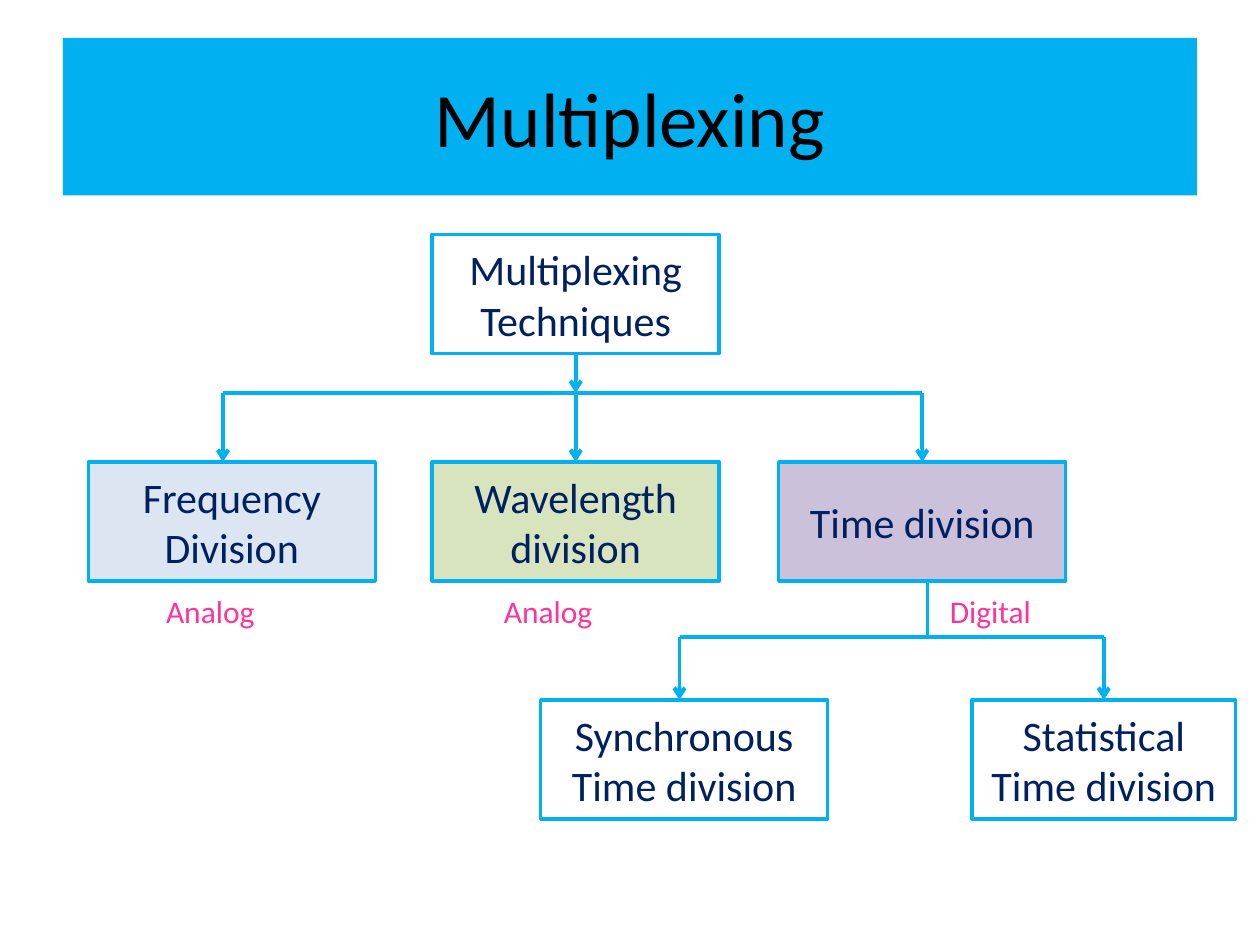
from dataclasses import dataclass
from typing import Optional

import pptx
import pptx.dml.color
import pptx.enum.shapes
import pptx.enum.text
import pptx.oxml.ns
import pptx.oxml.xmlchemy
import pptx.util
from lxml import etree

Pt = pptx.util.Pt
TOP, BOTTOM = 0, 2


@dataclass(frozen=True)
class Theme:
    font: str = "Calibri"
    accent: str = "00B0F0"
    title_text: str = "000000"
    box_text: str = "002060"
    signal_text: str = "FF3399"
    frequency: str = "DCE6F2"
    wavelength: str = "D7E4BD"
    time: str = "CCC1DA"
    title_size: float = 44
    box_size: float = 24
    signal_size: float = 18
    border: float = 2
    link: float = 2.25


THEME = Theme()


@dataclass(frozen=True)
class Box:
    text: str
    left: float
    top: float
    fill: Optional[str] = None
    width: float = 164
    height: float = 68
    border: Optional[str] = THEME.accent
    size: float = THEME.box_size
    color: str = THEME.box_text

    @property
    def center(self) -> float:
        return self.left + self.width / 2

    @property
    def bottom(self) -> float:
        return self.top + self.height


@dataclass(frozen=True)
class Signal:
    text: str
    left: float
    top: float = 334.8
    width: float = 73.5
    height: float = 29


@dataclass(frozen=True)
class Link:
    """A straight line; source and target name the boxes it is joined to."""
    x1: float
    y1: float
    x2: float
    y2: float
    arrow: bool = False
    source: Optional[Box] = None
    target: Optional[Box] = None


def rgb(value: str) -> pptx.dml.color.RGBColor:
    return pptx.dml.color.RGBColor.from_string(value)


def write(frame, text: str, size: float, color: str) -> None:
    frame.word_wrap = True
    frame.text = text
    font = frame.paragraphs[0].runs[0].font
    font.name, font.size = THEME.font, Pt(size)
    font.color.rgb = rgb(color)


def draw_box(slide, box: Box):
    shape = slide.shapes.add_shape(
        pptx.enum.shapes.MSO_SHAPE.RECTANGLE,
        Pt(box.left), Pt(box.top), Pt(box.width), Pt(box.height))
    shape.shadow.inherit = False
    if box.fill:
        shape.fill.solid()
        shape.fill.fore_color.rgb = rgb(box.fill)
    else:
        shape.fill.background()
    if box.border:
        shape.line.color.rgb = rgb(box.border)
        shape.line.width = Pt(THEME.border)
    else:
        shape.line.fill.background()
    write(shape.text_frame, box.text, box.size, box.color)
    shape.text_frame.vertical_anchor = pptx.enum.text.MSO_ANCHOR.MIDDLE
    shape.text_frame.paragraphs[0].alignment = pptx.enum.text.PP_ALIGN.CENTER
    return shape


def draw_signal(slide, signal: Signal) -> None:
    label = slide.shapes.add_textbox(
        Pt(signal.left), Pt(signal.top), Pt(signal.width), Pt(signal.height))
    write(label.text_frame, signal.text, THEME.signal_size, THEME.signal_text)
    label.text_frame.auto_size = pptx.enum.text.MSO_AUTO_SIZE.SHAPE_TO_FIT_TEXT


def draw_link(slide, link: Link, shapes: dict) -> None:
    line = slide.shapes.add_connector(
        pptx.enum.shapes.MSO_CONNECTOR.STRAIGHT,
        Pt(link.x1), Pt(link.y1), Pt(link.x2), Pt(link.y2))
    line.line.color.rgb = rgb(THEME.accent)
    line.line.width = Pt(THEME.link)
    qn = pptx.oxml.ns.qn
    properties = line._element.spPr
    if link.arrow:
        etree.SubElement(properties.find(qn("a:ln")), qn("a:tailEnd"), type="arrow")
    etree.SubElement(properties, qn("a:effectLst"))
    if link.source:
        line.begin_connect(shapes[link.source], BOTTOM)
    if link.target:
        line.end_connect(shapes[link.target], TOP)


def main() -> None:
    deck = pptx.Presentation()
    deck.slide_width, deck.slide_height = Pt(720), Pt(540)
    slide = deck.slides.add_slide(deck.slide_layouts[6])

    title = Box("Multiplexing", 36, 21.6, THEME.accent, 648, 90, None,
                THEME.title_size, THEME.title_text)
    root = Box("Multiplexing Techniques", 247, 134)
    frequency = Box("Frequency Division", 50.5, 264, THEME.frequency)
    wavelength = Box("Wavelength division", 247, 264, THEME.wavelength)
    time = Box("Time division", 445, 264, THEME.time)
    synchronous = Box("Synchronous Time division", 309, 400)
    statistical = Box("Statistical Time division", 555.5, 400, width=150.5)
    boxes = (title, root, frequency, wavelength, time, synchronous, statistical)
    shapes = {box: draw_box(slide, box) for box in boxes}

    upper_bar, lower_bar = 224.6, 363.8
    frequency_x, time_stem_x, synchronous_x = 127.4, 530, 388.3
    links = (
        Link(wavelength.center, upper_bar, wavelength.center, wavelength.top,
             True, target=wavelength),
        Link(time.center, upper_bar, time.center, time.top, True, target=time),
        Link(frequency_x, upper_bar, frequency_x, frequency.top, True),
        Link(frequency_x, upper_bar, time.center, upper_bar),
        Link(root.center, root.bottom, root.center, upper_bar, True, source=root),
        Link(time_stem_x, time.bottom, time_stem_x, lower_bar),
        Link(synchronous_x, lower_bar, statistical.center, lower_bar),
        Link(synchronous_x, lower_bar, synchronous_x, synchronous.top, True),
        Link(statistical.center, lower_bar, statistical.center, statistical.top,
             True, target=statistical),
    )
    for link in links:
        draw_link(slide, link, shapes)

    for signal in (Signal("Analog", 87.8), Signal("Analog", 280.8),
                   Signal("Digital", 535.7)):
        draw_signal(slide, signal)

    deck.save("out.pptx")


if __name__ == "__main__":
    main()
